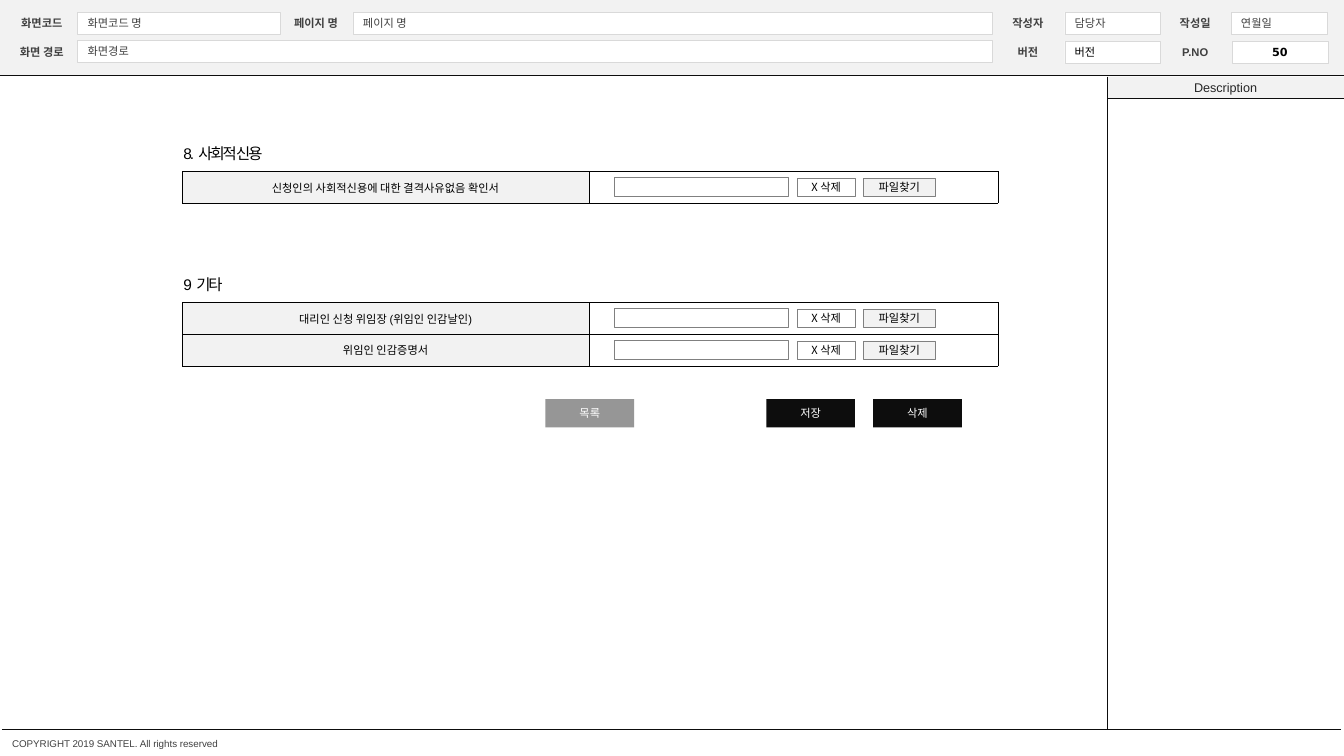
from lxml import etree
from pptx import Presentation
from pptx.dml.color import RGBColor
from pptx.enum.dml import MSO_LINE
from pptx.enum.shapes import MSO_CONNECTOR, MSO_SHAPE
from pptx.enum.text import MSO_ANCHOR, MSO_AUTO_SIZE, PP_ALIGN
from pptx.oxml.ns import qn
from pptx.util import Inches, Pt

RECT = MSO_SHAPE.RECTANGLE
LINE = MSO_CONNECTOR.STRAIGHT
DOT = MSO_LINE.ROUND_DOT
MID = MSO_ANCHOR.MIDDLE
FIXED = MSO_AUTO_SIZE.NONE
LEFT, CENTER = PP_ALIGN.LEFT, PP_ALIGN.CENTER

COLORS = {
    "ink": "000000", "black": "0D0D0D", "text": "404040", "dark": "262626",
    "band": "F2F2F2", "white": "FFFFFF", "edge": "D9D9D9",
    "gray": "808080", "list": "969696",
}
SANS, NOTO, BOLD = "Arial", "Noto Sans CJK KR", "DejaVu Sans"

TITLE = ("페이지 명", (3.5, 0.12, 6.34, 0.22))
LABELS = [
    ("화면코드", 0.06, 0.12), ("화면 경로", 0.06, 0.41),
    ("페이지 명", 2.78, 0.12), ("작성자", 9.84, 0.12),
    ("작성일", 11.5, 0.12), ("버전", 9.84, 0.41), ("P.NO", 11.5, 0.41),
]
FIELDS = [
    ("화면코드 명", 0.77, 0.12, 2.01, {}),
    ("화면경로", 0.77, 0.4, 9.07, {}),
    ("담당자", 10.56, 0.12, 0.95, {}),
    ("연월일", 12.21, 0.12, 0.95, {}),
    ("버전", 10.56, 0.41, 0.95, {"color": "ink"}),
    ("50", 12.22, 0.41, 0.95,
     {"color": "ink", "face": BOLD, "bold": True, "align": CENTER, "side": 0}),
]
RULES = [
    (0, 0.75, 13.33, 0.75), (10.98, 0.97, 13.33, 0.97),
    (10.98, 0.76, 10.98, 7.23), (0.02, 7.23, 13.29, 7.23),
]
SECTIONS = [
    ("8.  사회적 신용", 1.7, ["신청인의 사회적신용에 대한 결격사유없음 확인서"]),
    ("9  기타", 3, ["대리인 신청 위임장 (위임인 인감날인)", "위임인 인감증명서"]),
]
PARTS = [
    ("", 6.09, 1.73, 0.19, "white"),
    ("X 삭제", 7.91, 0.57, 0.18, "white"),
    ("파일찾기", 8.56, 0.72, 0.18, "band"),
]
BUTTONS = [("목록", 5.41, "list"), ("저장", 7.6, "black"), ("삭제", 8.66, "black")]
COLS = (4.03, 4.06)
ROW = 0.315
HIGH = 0.22


def rgb(name):
    return RGBColor.from_string(COLORS[name])


def write(frame, text, size=8, face=SANS, color="text", bold=False,
          align=LEFT, side=0.1, wrap=True, track=0):
    frame.word_wrap = wrap
    frame.auto_size = FIXED
    frame.vertical_anchor = MID
    frame.margin_left = frame.margin_right = Inches(side)
    frame.margin_top = frame.margin_bottom = 0
    para = frame.paragraphs[0]
    para.alignment = align
    run = para.add_run()
    run.text = text
    font = run.font
    font.size, font.name, font.bold = Pt(size), face, bold
    font.color.rgb = rgb(color)
    if track:
        run._r.get_or_add_rPr().set("spc", str(track))


def paint(shape, fill, edge=None, width=0.25):
    shape.fill.solid()
    shape.fill.fore_color.rgb = rgb(fill)
    if edge:
        shape.line.color.rgb = rgb(edge)
        shape.line.width = Pt(width)
    else:
        shape.line.fill.background()


def box(slide, area, fill, edge=None, width=0.25):
    shape = slide.shapes.add_shape(RECT, *map(Inches, area))
    shape.shadow.inherit = False
    paint(shape, fill, edge, width)
    return shape


def label(slide, area, text, **form):
    note = slide.shapes.add_textbox(*map(Inches, area))
    write(note.text_frame, text, **form)


def rule(slide, ends):
    line = slide.shapes.add_connector(LINE, *map(Inches, ends))
    line.line.color.rgb = rgb("black")
    line.line.width = Pt(0.25)
    line.line.dash_style = DOT
    etree.SubElement(line._element.spPr, qn("a:effectLst"))


def border(cell):
    props = cell._tc.get_or_add_tcPr()
    for spot, side in enumerate(("lnL", "lnR", "lnT", "lnB")):
        line = etree.Element(qn("a:" + side), w=str(Pt(0.25)))
        solid = etree.SubElement(line, qn("a:solidFill"))
        etree.SubElement(solid, qn("a:srgbClr"), val=COLORS["ink"])
        props.insert(spot, line)


def grid(slide, top, names):
    area = (1.81, top, sum(COLS), ROW * len(names))
    table = slide.shapes.add_table(len(names), 2, *map(Inches, area)).table
    for col, wide in zip(table.columns, COLS):
        col.width = Inches(wide)
    for row, name in zip(table.rows, names):
        row.height = Inches(ROW)
        for cell, fill in zip(row.cells, ("band", "white")):
            cell.margin_left = cell.margin_right = Inches(0.02)
            cell.margin_top = cell.margin_bottom = Inches(0.02)
            cell.vertical_anchor = MID
            cell.fill.solid()
            cell.fill.fore_color.rgb = rgb(fill)
            border(cell)
        para = row.cells[0].text_frame.paragraphs[0]
        para.alignment = CENTER
        run = para.add_run()
        run.text = name
        run.font.size, run.font.name = Pt(8), SANS
        run.font.color.rgb = rgb("ink")
        blank = row.cells[1].text_frame.paragraphs[0]
        blank._p.get_or_add_endParaRPr().set("sz", "800")


def header(slide):
    box(slide, (0, 0, 13.33, 0.75), "band")
    for text, x, y in LABELS:
        label(slide, (x, y, 0.71, HIGH), text, bold=True, align=CENTER, side=0)
    for text, x, y, wide, form in FIELDS:
        field = box(slide, (x, y, wide, HIGH), "white", "edge")
        write(field.text_frame, text, **form)
    text, area = TITLE
    title = slide.shapes.title
    title.left, title.top, title.width, title.height = map(Inches, area)
    paint(title, "white", "edge")
    write(title.text_frame, text)
    slide.shapes._spTree.append(title._element)
    head = box(slide, (10.98, 0.76, 2.35, HIGH), "band")
    write(head.text_frame, "Description", size=9, color="dark",
          align=CENTER, wrap=False)


def section(slide, name, top, names):
    label(slide, (1.72, top - 0.32, 2.44, 0.29), name,
          size=11, color="ink", track=-150)
    grid(slide, top, names)
    for i in range(len(names)):
        mid = top + ROW * (i + 0.5)
        for text, x, wide, high, fill in PARTS:
            part = box(slide, (x, mid - high / 2, wide, high), fill, "gray", 0.5)
            if text:
                write(part.text_frame, text, face=NOTO, color="ink",
                      align=CENTER, side=0)


def main():
    deck = Presentation()
    deck.slide_width, deck.slide_height = Inches(13.33), Inches(7.5)
    slide = deck.slides.add_slide(deck.slide_layouts[5])
    header(slide)
    for ends in RULES:
        rule(slide, ends)
    for part in SECTIONS:
        section(slide, *part)
    for text, x, fill in BUTTONS:
        button = box(slide, (x, 3.96, 0.88, 0.28), fill)
        write(button.text_frame, text, face=NOTO, color="white", align=CENTER)
    label(slide, (0.12, 7.32, 3.65, 0.12),
          "COPYRIGHT 2019 SANTEL. All rights reserved", size=7, side=0)
    deck.save("out.pptx")


if __name__ == "__main__":
    main()
